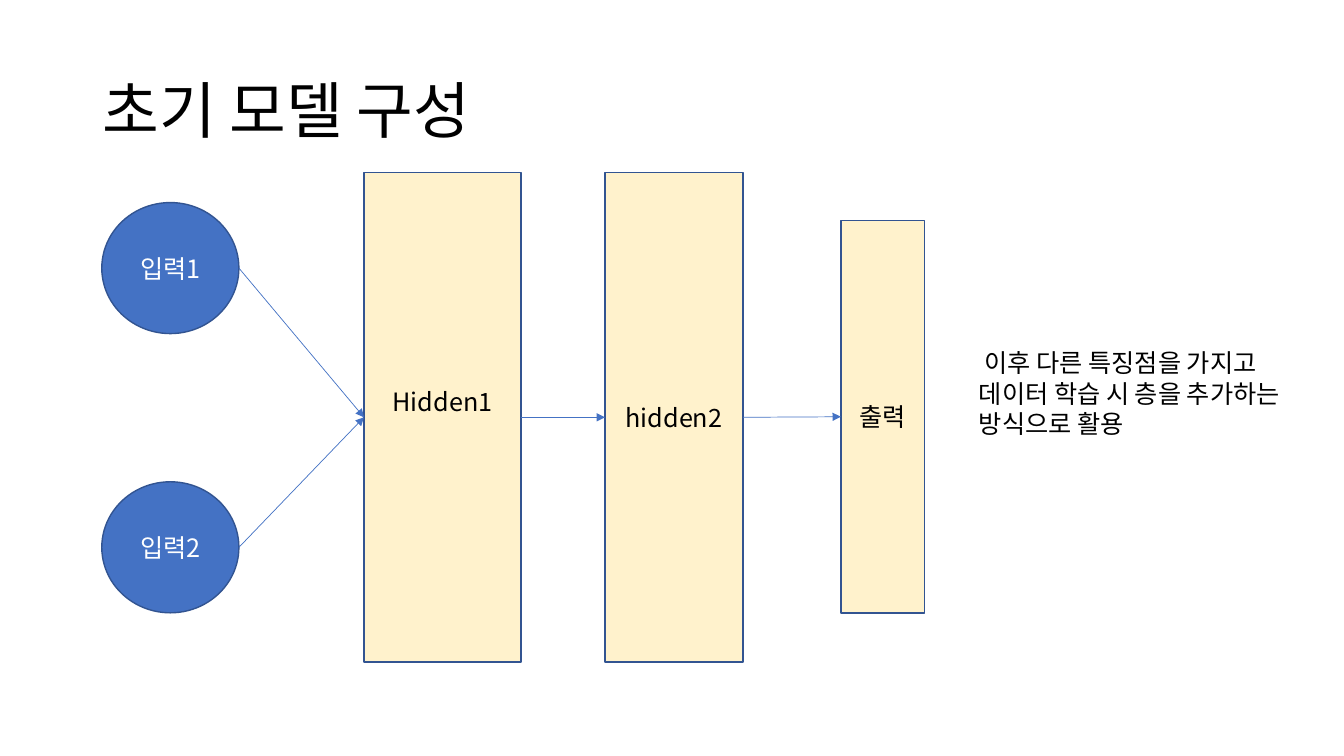
import pptx
import pptx.dml.color
import pptx.enum.shapes
import pptx.enum.text
import pptx.oxml.ns
import pptx.util
from lxml import etree
from pptx.util import Inches

FONT = "Noto Sans CJK KR"
COLOURS = {"blue": "4472C4", "outline": "325491", "cream": "FFF2CC",
           "black": "000000", "white": "FFFFFF"}
SHAPES = pptx.enum.shapes.MSO_SHAPE
ALIGN = pptx.enum.text.PP_ALIGN
qn = pptx.oxml.ns.qn


def rgb(name):
    return pptx.dml.color.RGBColor.from_string(COLOURS[name])


def write(box, text, size, colour, align, anchor=pptx.enum.text.MSO_ANCHOR.MIDDLE):
    """Fill a shape with one paragraph in the slide's font, for Latin and Korean."""
    frame = box.text_frame
    frame.text = text
    frame.word_wrap = True
    frame.vertical_anchor = anchor
    para = frame.paragraphs[0]
    para.alignment = align
    for span in para.runs:
        span.font.size = pptx.util.Pt(size)
        span.font.color.rgb = rgb(colour)
        span.font.name = FONT
        etree.SubElement(span.font._element, qn("a:ea"), typeface=FONT)


deck = pptx.Presentation()
deck.slide_width, deck.slide_height = Inches(13.33), Inches(7.5)
page = deck.slides.add_slide(deck.slide_layouts[6])

title = page.shapes.add_textbox(Inches(0.92), Inches(0.4), Inches(11.5), Inches(1.45))
write(title, "초기 모델 구성", 44, "black", ALIGN.LEFT)
title.text_frame.paragraphs[0].line_spacing = 0.9

# Network nodes: text, shape, left, top, width, height, fill, text colour
nodes = [
    ("입력1", SHAPES.OVAL, 1.01, 2.01, 1.36, 1.3, "blue", "white"),
    ("입력2", SHAPES.OVAL, 1.01, 4.78, 1.36, 1.3, "blue", "white"),
    ("Hidden1", SHAPES.RECTANGLE, 3.61, 1.71, 1.56, 4.86, "cream", "black"),
    ("hidden2", SHAPES.RECTANGLE, 6, 1.71, 1.37, 4.86, "cream", "black"),
    ("출력", SHAPES.RECTANGLE, 8.34, 2.19, 0.83, 3.89, "cream", "black"),
]
placed = []
for text, kind, left, top, width, height, fill, colour in nodes:
    node = page.shapes.add_shape(kind, Inches(left), Inches(top), Inches(width), Inches(height))
    node.shadow.inherit = False
    node.fill.solid()
    node.fill.fore_color.rgb = rgb(fill)
    node.line.color.rgb = rgb("outline")
    node.line.width = pptx.util.Pt(1)
    write(node, text, 18, colour, ALIGN.CENTER)
    placed.append(node)
input1, input2, hidden1, hidden2, output = placed
hidden1.text_frame.margin_bottom = Inches(0.36)  # label sits a little above the middle

for source, target in [(input1, hidden1), (input2, hidden1), (hidden1, hidden2), (hidden2, output)]:
    arrow = page.shapes.add_connector(
        pptx.enum.shapes.MSO_CONNECTOR.STRAIGHT,
        source.left + source.width, source.top + source.height // 2,
        target.left, target.top + target.height // 2)
    if source.auto_shape_type == SHAPES.RECTANGLE:
        arrow.begin_connect(source, 3)
    arrow.end_connect(target, 1)
    arrow.line.color.rgb = rgb("blue")
    arrow.line.width = pptx.util.Pt(0.5)
    etree.SubElement(arrow.line._get_or_add_ln(), qn("a:tailEnd"), type="triangle")
    etree.SubElement(arrow._element.spPr, qn("a:effectLst"))

note = page.shapes.add_textbox(Inches(9.61), Inches(3.4), Inches(3.42), Inches(1.01))
write(note, " 이후 다른 특징점을 가지고 데이터 학습 시 층을 추가하는 방식으로 활용", 18, "black",
      ALIGN.LEFT, pptx.enum.text.MSO_ANCHOR.TOP)

deck.save("out.pptx")
